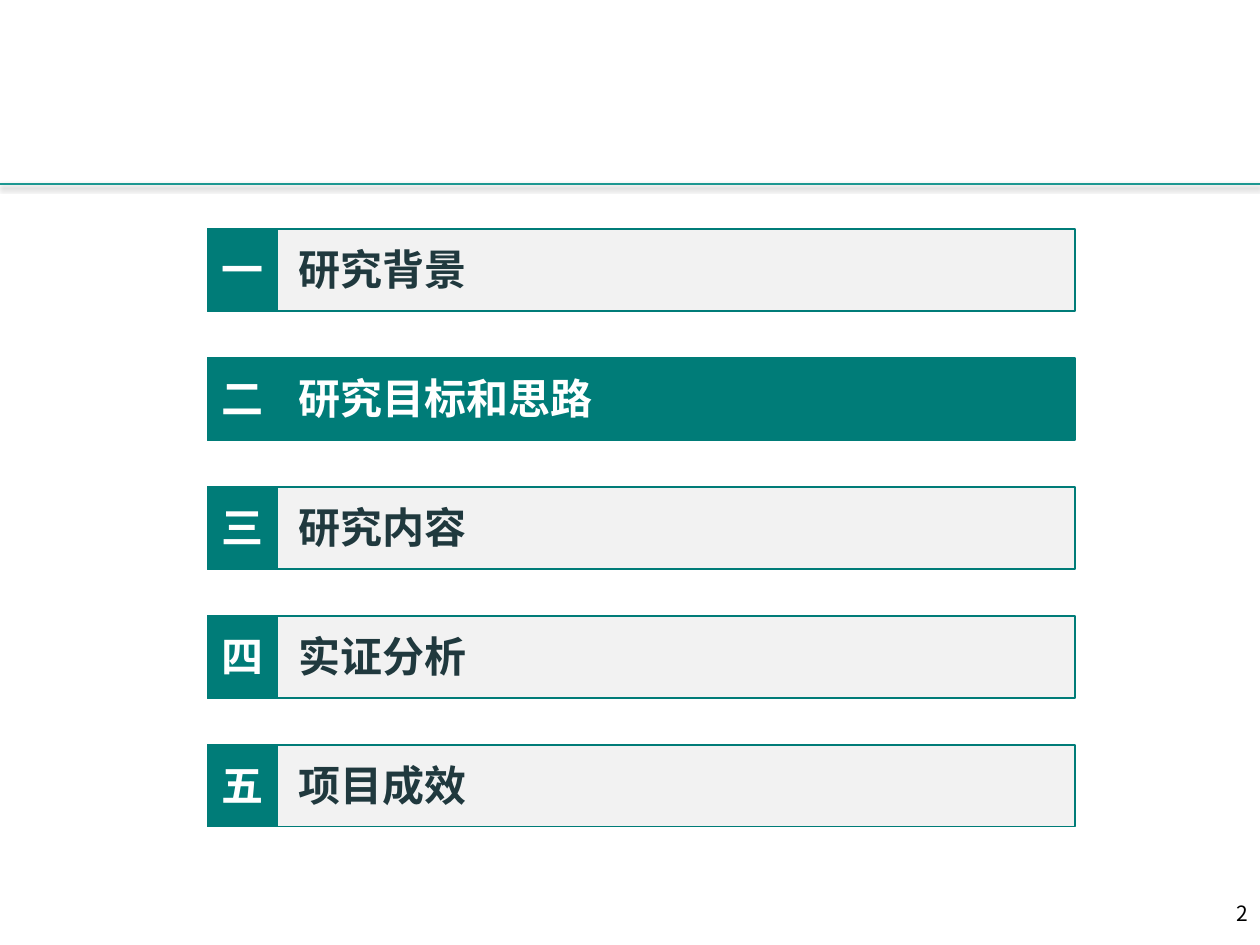
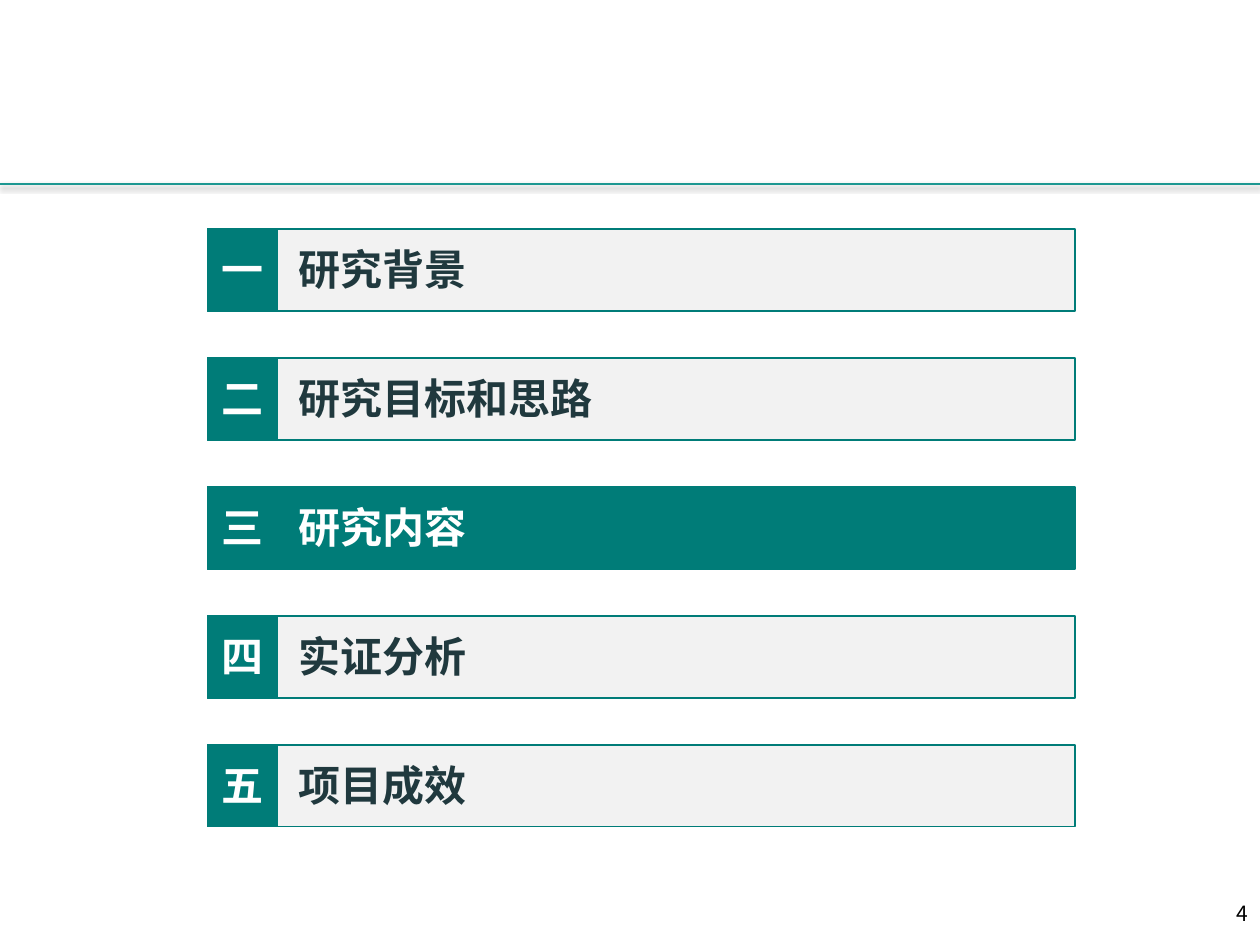
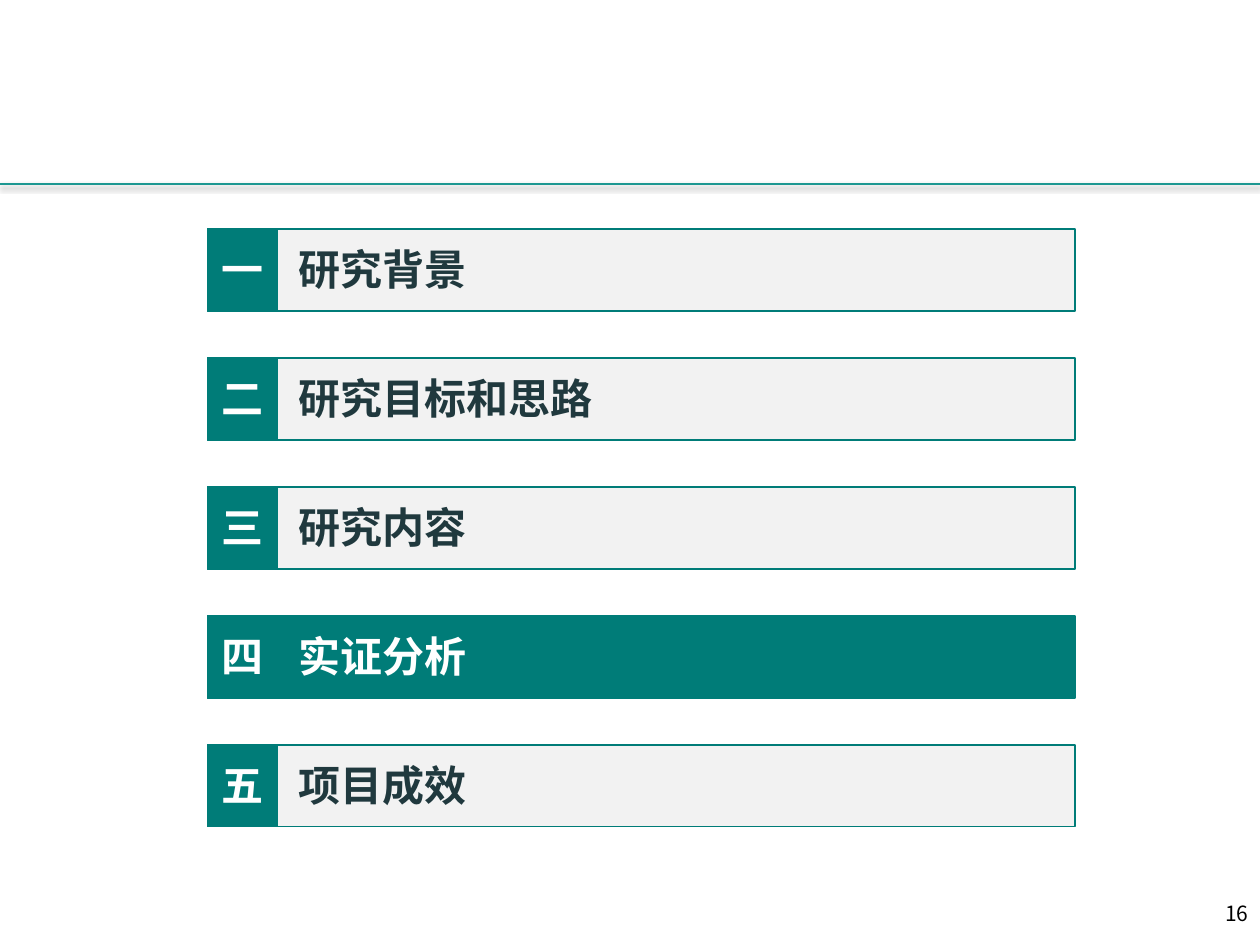
"""Build three agenda slides, each highlighting one section of the research report."""
from lxml.etree import SubElement
from pptx import Presentation
from pptx.dml.color import RGBColor
from pptx.enum.shapes import MSO_CONNECTOR, MSO_SHAPE
from pptx.enum.text import MSO_ANCHOR, PP_ALIGN as Align
from pptx.oxml import parse_xml
from pptx.oxml.ns import nsdecls, qn
from pptx.util import Cm, Pt

TEAL = RGBColor(0x00, 0x7C, 0x78)
RULE_TEAL = RGBColor(0x1C, 0x97, 0x91)
PALE_GREY = RGBColor(0xF2, 0xF2, 0xF2)
DARK_SLATE = RGBColor(0x20, 0x39, 0x3E)
WHITE = RGBColor(0xFF, 0xFF, 0xFF)
BLACK = RGBColor(0x00, 0x00, 0x00)

FONT = "Noto Sans CJK SC"
HEADING = {"size": Pt(24), "bold": True}
FOOTER = {"size": Pt(12), "bold": False}
RULE_SHADOW = (
    f'<a:effectLst {nsdecls("a")}><a:outerShdw blurRad="39370" dist="22860" '
    'dir="5400000" rotWithShape="0"><a:srgbClr val="000000"><a:alpha val="35000"/>'
    "</a:srgbClr></a:outerShdw></a:effectLst>"
)

SECTIONS = [
    ("一", "研究背景"),
    ("二", "研究目标和思路"),
    ("三", "研究内容"),
    ("四", "实证分析"),
    ("五", "项目成效"),
]
AGENDA_PAGES = [(2, "二"), (4, "三"), (16, "四")]

SLIDE_WIDTH, SLIDE_HEIGHT = 25.4, 19.05
RULE_TOP = 3.71
BAR_LEFT, BAR_TOP, BAR_STEP = 4.19, 4.62, 2.6
BAR_WIDTH, BAR_HEIGHT, TAB_WIDTH = 17.48, 1.65, 1.4
LABEL_INSET, LABEL_HEIGHT = 0.29, 1.3
HEADING_LEFT, HEADING_CHARACTER = 6.02, 0.9
PAGE_RIGHT, PAGE_TOP, PAGE_HEIGHT, DIGIT_WIDTH = 25.17, 18.16, 0.66, 0.27


class Deck:
    """Hold the shared style and the slide being built."""

    def __init__(self):
        self.presentation = Presentation()
        self.presentation.slide_width = Cm(SLIDE_WIDTH)
        self.presentation.slide_height = Cm(SLIDE_HEIGHT)
        self.slide = None

    def add_slide(self):
        """Start a slide with the shared header rule."""
        self.slide = self.presentation.slides.add_slide(self.presentation.slide_layouts[6])
        self.add_header_rule()

    def add_header_rule(self):
        """Draw the shadowed line across the slide."""
        rule = self.slide.shapes.add_connector(
            MSO_CONNECTOR.STRAIGHT, Cm(0), Cm(RULE_TOP), Cm(SLIDE_WIDTH), Cm(RULE_TOP)
        )
        rule.line.color.rgb = RULE_TEAL
        rule.line.width = Pt(1.5)
        rule._element.spPr.append(parse_xml(RULE_SHADOW))

    def add_box(self, shapes, left, top, width, fill):
        """Add a teal-edged rectangle as tall as an agenda bar."""
        box = shapes.add_shape(
            MSO_SHAPE.RECTANGLE, Cm(left), Cm(top), Cm(width), Cm(BAR_HEIGHT)
        )
        box.shadow.inherit = False
        box.fill.solid()
        box.fill.fore_color.rgb = fill
        box.line.color.rgb = TEAL
        box.line.width = Pt(0.75)

    def add_text(self, shapes, text, bounds, color, style, align=Align.LEFT):
        """Add one unwrapped line of text without margins."""
        frame = shapes.add_textbox(*map(Cm, bounds)).text_frame
        frame_format = {
            "margin_left": 0,
            "margin_top": 0,
            "margin_right": 0,
            "margin_bottom": 0,
            "word_wrap": False,
            "vertical_anchor": MSO_ANCHOR.TOP,
        }
        for name, value in frame_format.items():
            setattr(frame, name, value)
        paragraph = frame.paragraphs[0]
        paragraph.alignment = align
        run = paragraph.add_run()
        run.text = text
        for name, value in {"name": FONT, **style}.items():
            setattr(run.font, name, value)
        run.font.color.rgb = color
        SubElement(run._r.get_or_add_rPr(), qn("a:ea"), typeface=FONT)

    def add_agenda_bar(self, top, numeral, heading, is_current):
        """Add a grouped bar with its numeral tab and heading."""
        shapes = self.slide.shapes.add_group_shape().shapes
        self.add_box(shapes, BAR_LEFT, top, BAR_WIDTH, TEAL if is_current else PALE_GREY)
        self.add_box(shapes, BAR_LEFT, top, TAB_WIDTH, TEAL)
        label_top = top + LABEL_INSET
        numeral_bounds = (BAR_LEFT, label_top, TAB_WIDTH, LABEL_HEIGHT)
        self.add_text(shapes, numeral, numeral_bounds, WHITE, HEADING, Align.CENTER)
        heading_width = HEADING_CHARACTER * len(heading)
        heading_bounds = (HEADING_LEFT, label_top, heading_width, LABEL_HEIGHT)
        self.add_text(
            shapes, heading, heading_bounds, WHITE if is_current else DARK_SLATE, HEADING
        )

    def add_page_number(self, number):
        """Add the right-aligned page number."""
        text = str(number)
        width = DIGIT_WIDTH * len(text)
        bounds = (PAGE_RIGHT - width, PAGE_TOP, width, PAGE_HEIGHT)
        self.add_text(self.slide.shapes, text, bounds, BLACK, FOOTER, Align.RIGHT)


def main():
    """Build and save the agenda slides."""
    deck = Deck()
    for page_number, current in AGENDA_PAGES:
        deck.add_slide()
        for index, (numeral, heading) in enumerate(SECTIONS):
            top = BAR_TOP + index * BAR_STEP
            deck.add_agenda_bar(top, numeral, heading, numeral == current)
        deck.add_page_number(page_number)
    deck.presentation.save("out.pptx")


if __name__ == "__main__":
    main()
